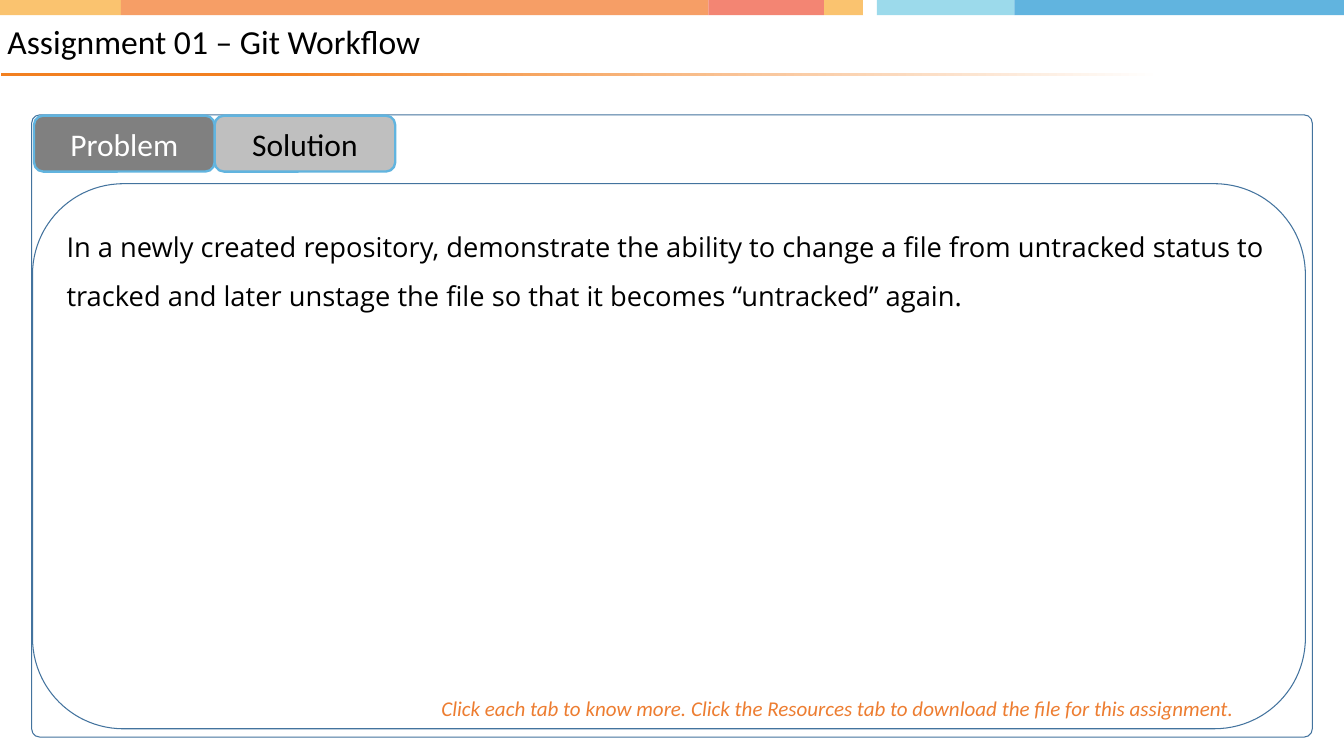
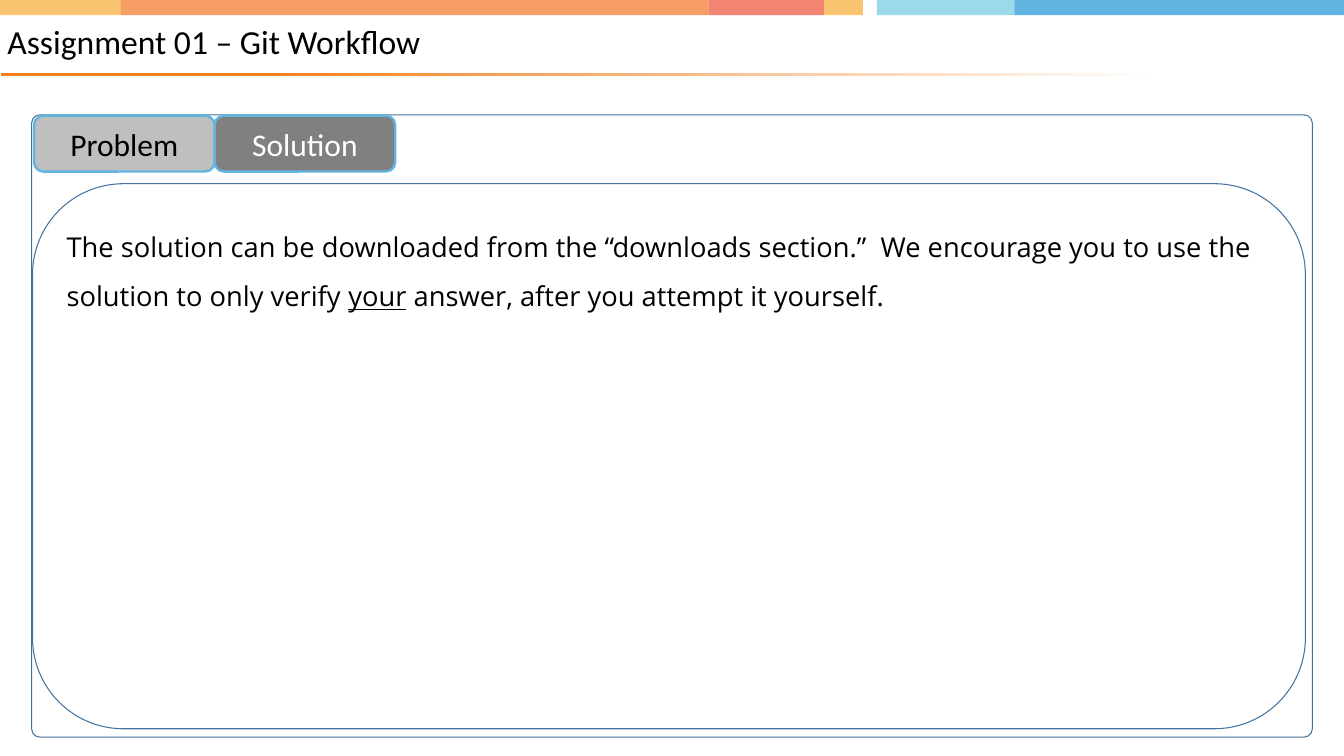
"""Two tabbed assignment slides: the problem and its solution."""
from dataclasses import dataclass
from itertools import pairwise

from pptx import Presentation, util as u
from pptx.dml.color import RGBColor
from pptx.enum import shapes, text

TITLE = "Assignment 01 – Git Workflow"
TABS = ("Problem", "Solution")
HINT = ("Click each tab to know more. Click the Resources tab to download "
        "the file for this assignment.")
# Each body is a list of (wording, underlined) pieces.
SLIDES = [
    {"active": "Problem", "hint": HINT, "body": [
        ("In a newly created repository, demonstrate the ability to change a "
         "file from untracked status to tracked and later unstage the file so "
         "that it becomes “untracked” again.", False)]},
    {"active": "Solution", "hint": None, "body": [
        ("The solution can be downloaded from the “downloads section.”  We "
         "encourage you to use the solution to only verify ", False),
        ("your", True),
        (" answer, after you attempt it yourself.", False)]},
]


@dataclass(frozen=True)
class Theme:
    """Colours, fonts and type sizes shared by the slides."""
    ink: str = "000000"
    paper: str = "FFFFFF"
    accent: str = "F28020"
    hint: str = "ED7D31"
    frame: str = "43739E"
    tab_edge: str = "61B4DF"
    tab_on: str = "808080"
    tab_off: str = "BFBFBF"
    band: tuple = ("FAC36F", "F69E66", "F38573", "FAC36F",
                   "FFFFFF", "9CDAEB", "61B4DF")
    heading_font: str = "Calibri"
    body_font: str = "Open Sans"
    title_size: int = 32
    tab_size: int = 30
    body_size: int = 26
    hint_size: int = 20


THEME = Theme()
WIDTH, HEIGHT = u.Inches(17.78), u.Inches(10)

# Places are left, top, width, height in percent of the slide.
BAND_EDGES = (0, 9, 52.7, 61.31, 64.23, 65.24, 75.48, 100)
BAND_TOP, BAND_HEIGHT = -0.1, 2.1
TITLE_AT = (0, 2.1, 81.83, 7.3)
RULE_AT = (0.06, 9.6, 86.33, 0.4)
FRAME_AT = (2.36, 15.2, 95.28, 82.3)
PANEL_AT = (2.42, 24.3, 94.71, 72.1)
HINT_AT = (32.28, 91.5, 61.87, 4.4)
TAB_AT = (2.53, 15.3, 13.44, 7.4)


def place(share):
    """Turn percentages of the slide into lengths."""
    return [round(part * whole / 100)
            for part, whole in zip(share, (WIDTH, HEIGHT) * 2)]


def colour(code):
    """Return the colour for a hex code."""
    return RGBColor.from_string(code)


def add_block(slide, share, fill=None, edge=None, edge_width=1, rounded=False):
    """Add a rectangle, optionally rounded, filled or outlined."""
    kind = (shapes.MSO_SHAPE.ROUNDED_RECTANGLE if rounded
            else shapes.MSO_SHAPE.RECTANGLE)
    block = slide.shapes.add_shape(kind, *place(share))
    block.shadow.inherit = False
    if fill:
        block.fill.solid()
        block.fill.fore_color.rgb = colour(fill)
    else:
        block.fill.background()
    if edge:
        block.line.color.rgb = colour(edge)
        block.line.width = u.Pt(edge_width)
    else:
        block.line.fill.background()
    return block


def write(holder, pieces, font, size, ink, align=text.PP_ALIGN.LEFT,
          anchor=text.MSO_ANCHOR.TOP, italic=False):
    """Write (wording, underlined) pieces as one paragraph and return it."""
    frame = holder.text_frame
    frame.word_wrap = True
    frame.vertical_anchor = anchor
    paragraph = frame.paragraphs[0]
    paragraph.alignment = align
    for wording, underlined in pieces:
        run = paragraph.add_run()
        run.text = wording
        run.font.name, run.font.size = font, u.Pt(size)
        run.font.color.rgb = colour(ink)
        if underlined:
            run.font.underline = True
        if italic:
            run.font.italic = True
    return paragraph


def add_header(slide):
    """Add the colour band, the fading rule and the title."""
    for (left, right), fill in zip(pairwise(BAND_EDGES), THEME.band):
        add_block(slide, (left, BAND_TOP, right - left, BAND_HEIGHT), fill)

    rule = add_block(slide, RULE_AT)
    rule.fill.gradient()
    rule.fill.gradient_angle = 0
    fade = ((0.23, THEME.accent), (1, THEME.paper))
    for stop, (position, code) in zip(rule.fill.gradient_stops, fade):
        stop.position = position
        stop.color.rgb = colour(code)

    title = slide.shapes.add_textbox(*place(TITLE_AT))
    frame = title.text_frame
    frame.margin_left = u.Inches(0.1)
    frame.margin_top = frame.margin_right = frame.margin_bottom = 0
    line = write(title, [(TITLE, False)], THEME.heading_font, THEME.title_size,
                 THEME.ink, anchor=text.MSO_ANCHOR.MIDDLE)
    line.line_spacing = 0.9
    line.space_before = u.Pt(13.3)


def add_panel(slide, body, hint):
    """Add the outer frame, the panel with its body and the hint."""
    frame = add_block(slide, FRAME_AT, edge=THEME.frame, rounded=True)
    frame.adjustments[0] = 0.013
    panel = add_block(slide, PANEL_AT, edge=THEME.frame, rounded=True)
    write(panel, body, THEME.body_font, THEME.body_size,
          THEME.ink).line_spacing = 1.5
    if hint:
        note = slide.shapes.add_textbox(*place(HINT_AT))
        write(note, [(hint, False)], THEME.heading_font, THEME.hint_size,
              THEME.hint, italic=True)


def add_tabs(slide, active):
    """Add the row of tabs, the active one darker."""
    left, top, width, height = TAB_AT
    for column, label in reversed(list(enumerate(TABS))):
        fill, ink = ((THEME.tab_on, THEME.paper) if label == active
                     else (THEME.tab_off, THEME.ink))
        tab = add_block(slide, (left + column * width, top, width, height),
                        fill, THEME.tab_edge, 2.25, rounded=True)
        write(tab, [(label, False)], THEME.heading_font, THEME.tab_size, ink,
              text.PP_ALIGN.CENTER, text.MSO_ANCHOR.MIDDLE)


def build():
    """Build and save the presentation."""
    deck = Presentation()
    deck.slide_width, deck.slide_height = WIDTH, HEIGHT
    blank = deck.slide_layouts[6]
    for content in SLIDES:
        slide = deck.slides.add_slide(blank)
        add_header(slide)
        add_panel(slide, content["body"], content["hint"])
        add_tabs(slide, content["active"])
    deck.save("out.pptx")


build()
